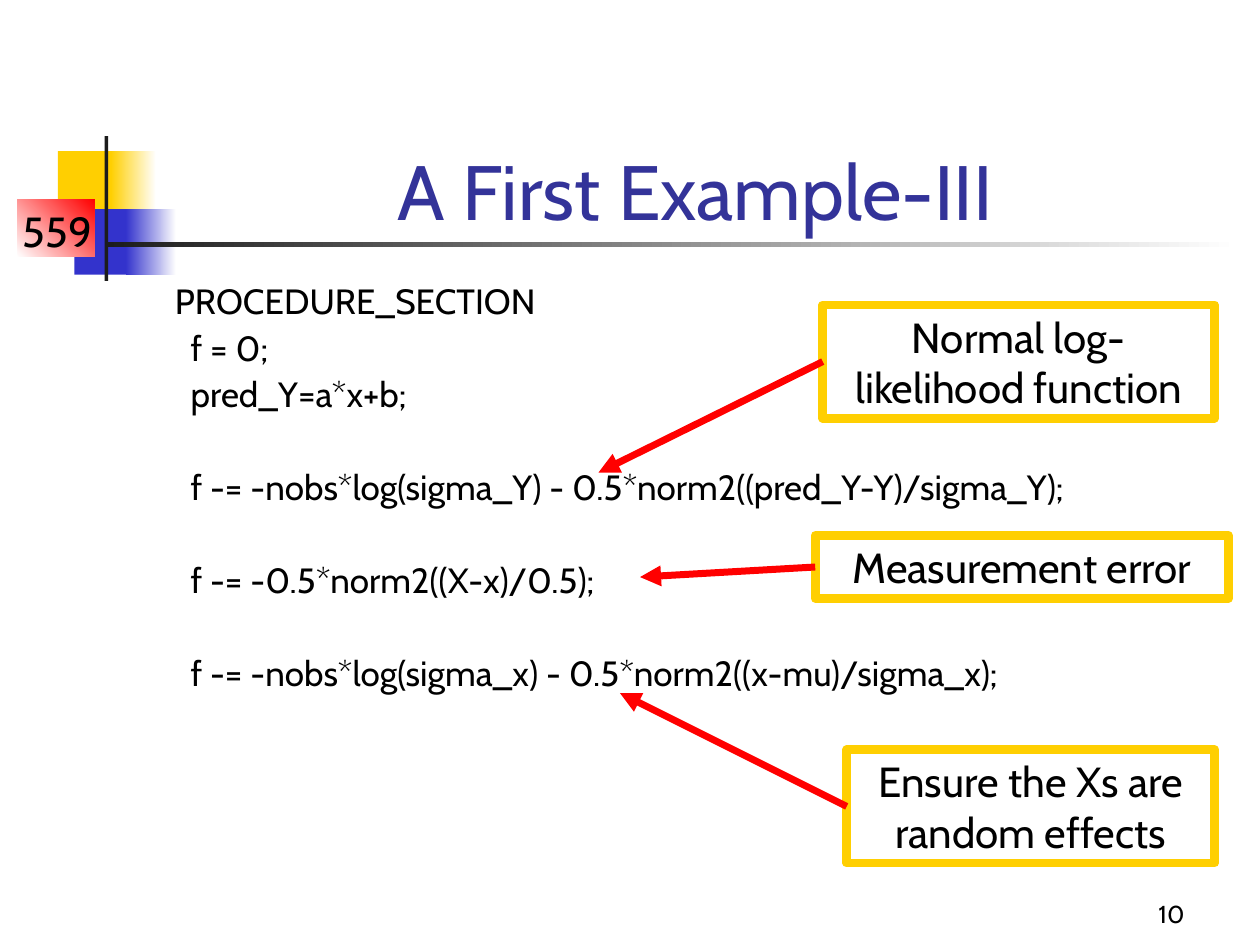
from dataclasses import dataclass

from lxml import etree
from pptx import Presentation
from pptx.dml.color import RGBColor
from pptx.enum.shapes import MSO_CONNECTOR, MSO_SHAPE
from pptx.enum.text import MSO_ANCHOR, PP_ALIGN
from pptx.oxml.ns import qn
from pptx.util import Inches, Pt

RECT = MSO_SHAPE.RECTANGLE
STRAIGHT = MSO_CONNECTOR.STRAIGHT
LEFT, CENTER, RIGHT = PP_ALIGN.LEFT, PP_ALIGN.CENTER, PP_ALIGN.RIGHT
TOP, BOTTOM = MSO_ANCHOR.TOP, MSO_ANCHOR.BOTTOM
LEFT_SIDE = 1


@dataclass(frozen=True)
class Theme:
    font: str = "Cabin"
    text: str = "000000"
    title: str = "333399"
    yellow: str = "FFCF01"
    blue: str = "3333CC"
    red: str = "FF0000"
    dark: str = "1C1C1C"
    white: str = "FFFFFF"
    title_size: int = 44
    label_size: int = 24
    code_size: int = 20
    number_size: int = 14
    frame_width: int = 5
    arrow_width: int = 4


THEME = Theme()
CODE_SPACE = 5
CODE_GAP = 31.5  # one empty line plus the usual space

# (text, space before in points)
CODE = [
    ("PROCEDURE_SECTION", 0),
    ("  f = 0;", CODE_SPACE),
    ("  pred_Y=a*x+b;", CODE_SPACE),
    ("  f -= -nobs*log(sigma_Y) - 0.5*norm2((pred_Y-Y)/sigma_Y);", CODE_GAP),
    ("  f -= -0.5*norm2((X-x)/0.5);", CODE_GAP),
    ("  f -= -nobs*log(sigma_x) - 0.5*norm2((x-mu)/sigma_x);", CODE_GAP),
]

# (lines, box, arrow tip)
CALLOUTS = [
    (["Normal log-", "likelihood function"], (6.53, 2.42, 3.11, 0.9), (4.75, 3.75)),
    (["Ensure the Xs are", "random effects"], (6.72, 5.95, 2.92, 0.9), (4.92, 5.5)),
    (["Measurement error"], (6.47, 4.25, 3.28, 0.5), (5.08, 4.58)),
]


def rgb(color):
    return RGBColor.from_string(color)


def write(shape, lines, size, color=THEME.text, align=LEFT, anchor=TOP,
          wrap=True, spacing=None, before=None):
    """Fill a shape with one paragraph per line; before lists the spaces above."""
    tf = shape.text_frame
    tf.word_wrap = wrap
    tf.vertical_anchor = anchor
    for i, line in enumerate(lines):
        p = tf.add_paragraph() if i else tf.paragraphs[0]
        p.alignment = align
        if spacing:
            p.line_spacing = spacing
        if before and before[i]:
            p.space_before = Pt(before[i])
        r = p.add_run()
        r.text = line
        r.font.name = THEME.font
        r.font.size = Pt(size)
        r.font.color.rgb = rgb(color)


class SlideBuilder:
    def __init__(self, slide, theme):
        self.s = slide
        self.theme = theme

    def rect(self, box):
        sp = self.s.shapes.add_shape(RECT, *map(Inches, box))
        sp.shadow.inherit = False
        return sp

    def block(self, box, color):
        sp = self.rect(box)
        sp.fill.solid()
        sp.fill.fore_color.rgb = rgb(color)
        sp.line.fill.background()

    def fade(self, box, start, end, angle=0):
        """Rectangle with a gradient; the angle runs counter-clockwise."""
        sp = self.rect(box)
        sp.fill.gradient()
        sp.fill.gradient_angle = angle
        for stop, color in zip(sp.fill.gradient_stops, (start, end)):
            stop.color.rgb = rgb(color)
        sp.line.fill.background()

    def text(self, box, lines, size, **fmt):
        write(self.s.shapes.add_textbox(*map(Inches, box)), lines, size, **fmt)

    def callout(self, box, lines):
        sp = self.rect(box)
        sp.fill.background()
        sp.line.color.rgb = rgb(self.theme.yellow)
        sp.line.width = Pt(self.theme.frame_width)
        write(sp, lines, self.theme.label_size, align=CENTER, wrap=False)
        return sp

    def arrow(self, source, tip):
        """Arrow from the left side of a callout to a point."""
        x, y = map(Inches, tip)
        line = self.s.shapes.add_connector(STRAIGHT, x, y, x, y)
        line.begin_connect(source, LEFT_SIDE)
        line.line.color.rgb = rgb(self.theme.red)
        line.line.width = Pt(self.theme.arrow_width)
        sp_pr = line._element.spPr
        etree.SubElement(sp_pr.find(qn("a:ln")), qn("a:tailEnd"), type="triangle")
        etree.SubElement(sp_pr, qn("a:effectLst"))


def main():
    prs = Presentation()
    prs.slide_width, prs.slide_height = Inches(10), Inches(7.5)
    t = THEME
    b = SlideBuilder(prs.slides.add_slide(prs.slide_layouts[6]), t)

    b.block((0.46, 1.2, 0.48, 0.52), t.yellow)
    b.fade((0.88, 1.2, 0.36, 0.52), t.yellow, t.white)
    b.block((0.59, 1.66, 0.46, 0.52), t.blue)
    b.fade((1, 1.66, 0.4, 0.52), t.blue, t.white)
    b.fade((0.14, 1.58, 0.61, 0.46), t.white, t.red, angle=45)
    b.block((0.83, 1.08, 0.03, 1.15), t.dark)
    b.fade((0.83, 1.92, 9, 0.04), t.dark, t.white)

    b.text((0.08, 1.58, 0.75, 0.9), ["559"], t.label_size, align=CENTER, wrap=False)
    b.text((1.26, 0.67, 8.52, 1.25), ["A First Example-III"], t.title_size,
           color=t.title, align=CENTER, anchor=BOTTOM)
    lines, before = zip(*CODE)
    b.text((1.29, 2.21, 8.5, 4.5), lines, t.code_size, spacing=0.9, before=before)

    boxes = [b.callout(box, label) for label, box, _ in CALLOUTS]
    for sp, (_, _, tip) in zip(boxes, CALLOUTS):
        b.arrow(sp, tip)

    b.text((7.42, 6.92, 2.08, 0.5), ["10"], t.number_size, align=RIGHT, anchor=BOTTOM)
    prs.save("out.pptx")


if __name__ == "__main__":
    main()
